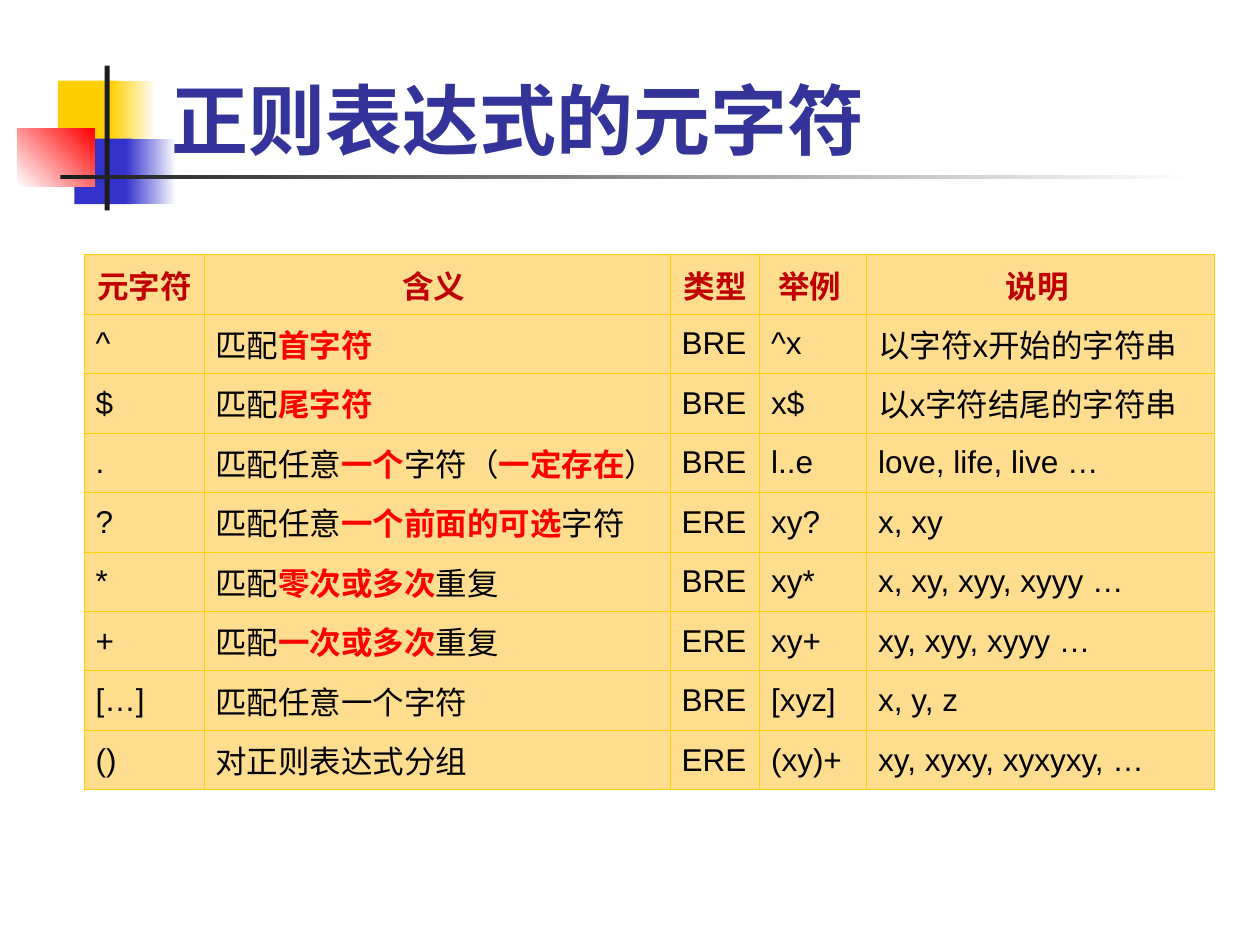
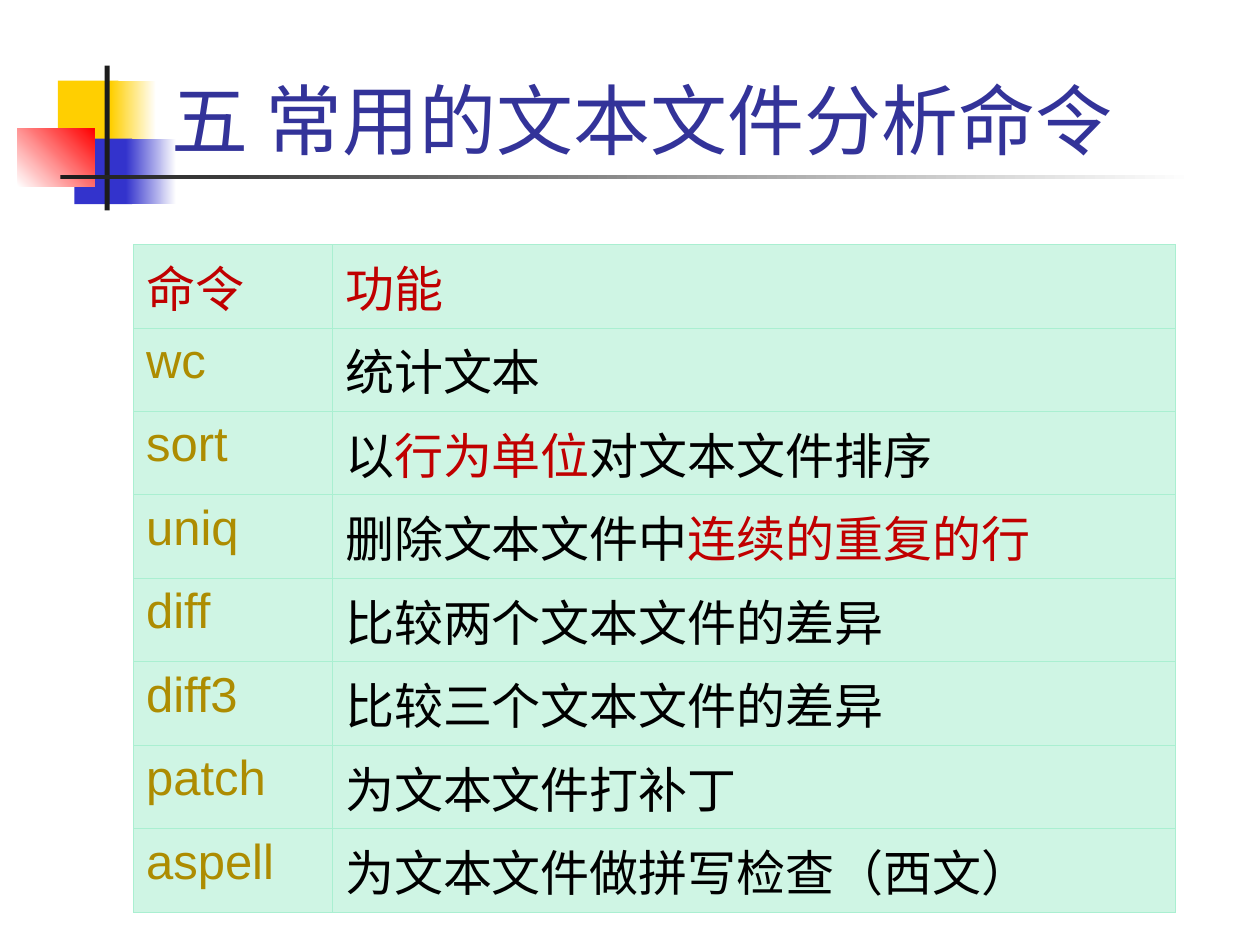
from lxml import etree
from pptx import Presentation
from pptx import util as u
from pptx.dml import color as dml
from pptx.enum import shapes, text
from pptx.oxml import ns

COLORS = {
    "white": "FFFFFF", "black": "000000", "ink": "1C1C1C", "title": "333399",
    "gold": "FFCF01", "blue": "3333CC", "red": "FF0000", "dark red": "C00000",
    "olive": "AD8C01", "sand": "FFDD8F", "mint": "CFF5E4", "mint line": "AAEFD1",
}
DECORATIONS = [
    (0.46, 0.64, 0.48, 0.52, ["gold"], 0),
    (0.88, 0.64, 0.36, 0.52, ["gold", "white"], 0),
    (0.59, 1.1, 0.46, 0.52, ["blue"], 0),
    (1, 1.1, 0.4, 0.52, ["blue", "white"], 0),
    (0.14, 1.02, 0.61, 0.46, ["white", "red"], 45),
    (0.83, 0.52, 0.04, 1.15, ["ink"], 0),
    (0.48, 1.39, 9, 0.03, ["ink", "white"], 0),
]
METACHARACTERS = [
    ("元字符 ", "含义 ", "类型 ", "举例 ", "说明 "),
    ("^", "匹配|首字符", "BRE", "^x", "以字符x开始的字符串"),
    ("$", "匹配|尾字符", "BRE", "x$", "以x字符结尾的字符串"),
    (".", "匹配任意|一个|字符（|一定存在|）", "BRE", "l..e", "love, life, live …"),
    ("?", "匹配任意|一个前面的可选|字符", "ERE", "xy?", "x, xy"),
    ("*", "匹配|零次或多次|重复", "BRE", "xy*", "x, xy, xyy, xyyy …"),
    ("+", "匹配|一次或多次|重复", "ERE", "xy+", "xy, xyy, xyyy …"),
    ("[…]", "匹配任意一个字符", "BRE", "[xyz]", "x, y, z"),
    ("()", "对正则表达式分组", "ERE", "(xy)+", "xy, xyxy, xyxyxy, …"),
]
COMMANDS = [
    ("命令", "功能"),
    ("wc", "统计文本"),
    ("sort", "以|行为单位|对文本文件排序"),
    ("uniq", "删除文本文件中|连续的重复的行"),
    ("diff", "比较两个文本文件的差异"),
    ("diff3", "比较三个文本文件的差异"),
    ("patch", "为文本文件打补丁"),
    ("aspell", "为文本文件做拼写检查（西文）"),
]
PAGES = [
    {"title": "正则表达式的元字符", "bold": True, "rows": METACHARACTERS,
     "left": 0.67, "top": 2.02, "widths": [0.95, 3.7, 0.71, 0.85, 2.76], "height": 4.25,
     "size": 18, "fill": "sand", "border": "gold", "first column": "black", "emphasis": "red",
     "side margin": 0.09,
     "header align": text.PP_ALIGN.CENTER, "anchor": text.MSO_ANCHOR.MIDDLE},
    {"title": "五 常用的文本文件分析命令", "bold": False, "rows": COMMANDS,
     "left": 1.06, "top": 1.94, "widths": [1.58, 6.69], "height": 5.3,
     "size": 28, "fill": "mint", "border": "mint line", "first column": "olive",
     "emphasis": "dark red", "side margin": 0.1,
     "header align": text.PP_ALIGN.LEFT, "anchor": text.MSO_ANCHOR.TOP},
]


def rgb(name):
    return dml.RGBColor.from_string(COLORS[name])


def style(font, face, size, color, bold):
    font.name, font.size, font.bold = face, u.Pt(size), bold
    font.color.rgb = rgb(color)


deck = Presentation()
deck.slide_width, deck.slide_height = u.Inches(10), u.Inches(7.5)

for page in PAGES:
    slide = deck.slides.add_slide(deck.slide_layouts[6])

    for left, top, width, height, colors, angle in DECORATIONS:
        block = slide.shapes.add_shape(
            shapes.MSO_SHAPE.RECTANGLE,
            u.Inches(left), u.Inches(top), u.Inches(width), u.Inches(height))
        block.shadow.inherit = False
        block.line.fill.background()
        if len(colors) == 1:
            block.fill.solid()
            block.fill.fore_color.rgb = rgb(colors[0])
        else:
            block.fill.gradient()
            block.fill.gradient_angle = angle
            for stop, color in zip(block.fill.gradient_stops, colors):
                stop.color.rgb = rgb(color)

    title = slide.shapes.add_textbox(
        u.Inches(1.26), u.Inches(0.21), u.Inches(8.52), u.Inches(1.15))
    title.text_frame.word_wrap = True
    title.text_frame.vertical_anchor = text.MSO_ANCHOR.BOTTOM
    title.text_frame.text = page["title"]
    style(title.text_frame.paragraphs[0].runs[0].font,
          "Times New Roman", 44, "title", page["bold"])

    rows, widths = page["rows"], page["widths"]
    table = slide.shapes.add_table(
        len(rows), len(widths), u.Inches(page["left"]), u.Inches(page["top"]),
        u.Inches(sum(widths)), u.Inches(page["height"])).table
    table.first_row = table.horz_banding = False
    for column, width in zip(table.columns, widths):
        column.width = u.Inches(width)

    for row_index, row in enumerate(rows):
        table.rows[row_index].height = u.Inches(page["height"] / len(rows))
        for column_index, words in enumerate(row):
            cell = table.cell(row_index, column_index)
            cell.vertical_anchor = page["anchor"]
            cell.margin_left = cell.margin_right = u.Inches(page["side margin"])
            cell.margin_top = cell.margin_bottom = u.Inches(0.05)
            cell.fill.solid()
            cell.fill.fore_color.rgb = rgb(page["fill"])
            properties = cell._tc.get_or_add_tcPr()
            for position, side in enumerate(["lnL", "lnR", "lnT", "lnB"]):
                border = etree.Element(ns.qn("a:" + side), w=str(u.Pt(0.5)))
                solid = etree.SubElement(border, ns.qn("a:solidFill"))
                etree.SubElement(solid, ns.qn("a:srgbClr"), val=COLORS[page["border"]])
                properties.insert(position, border)

            para = cell.text_frame.paragraphs[0]
            indent = para._p.get_or_add_pPr()
            indent.set("marL", str(u.Inches(0.38)))
            indent.set("indent", str(u.Inches(-0.38)))
            header = row_index == 0
            if header:
                para.alignment = page["header align"]
            plain = page["first column"] if column_index == 0 else "black"
            for part_index, part in enumerate(words.split("|")):
                span = para.add_run()
                span.text = part
                emphasis = part_index % 2 == 1
                color = "dark red" if header else page["emphasis"] if emphasis else plain
                style(span.font, "Arial", page["size"], color,
                      page["bold"] and (header or emphasis))

deck.save("out.pptx")
